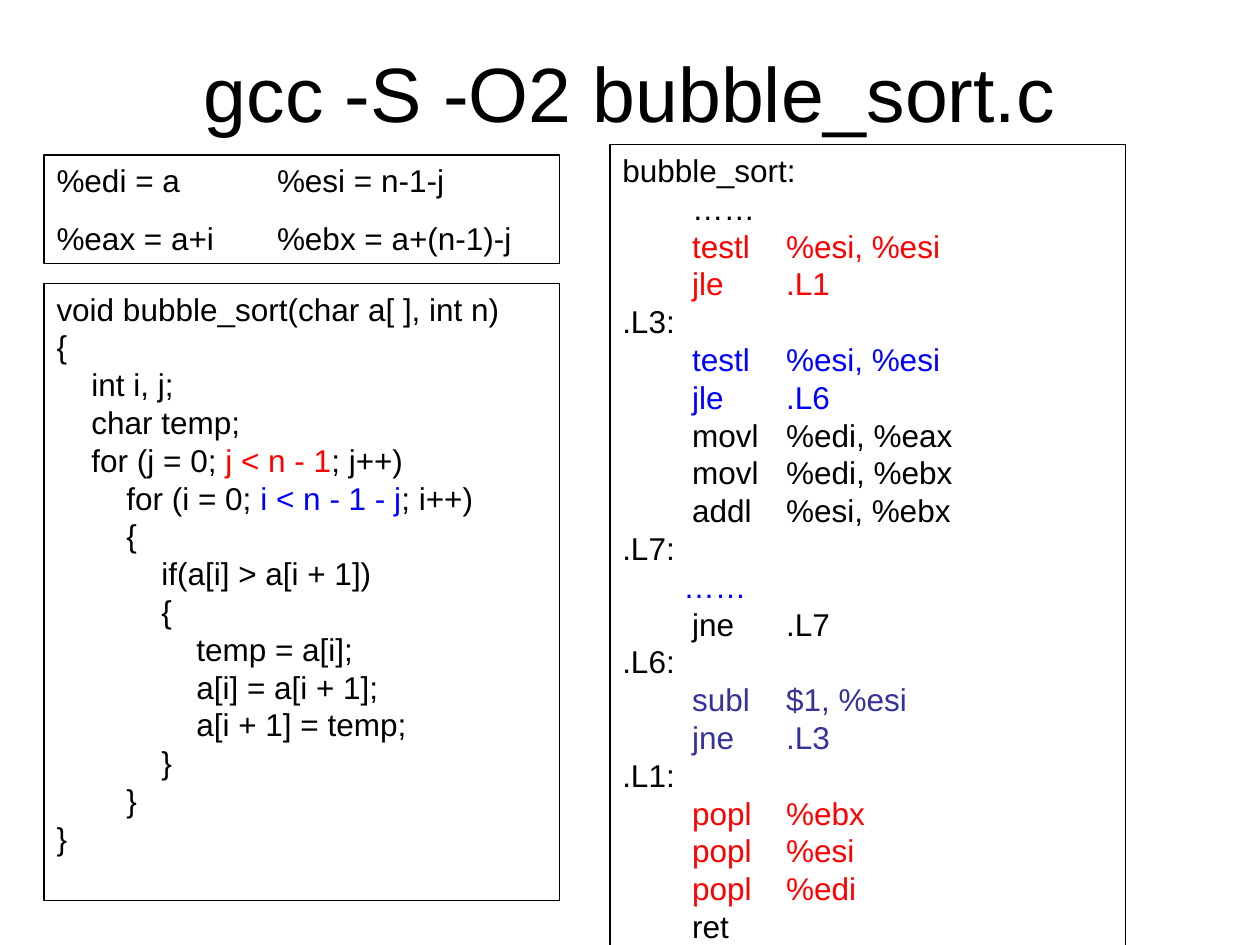
from pptx import Presentation
from pptx.dml.color import RGBColor
from pptx.enum.shapes import MSO_SHAPE
from pptx.enum.text import MSO_ANCHOR, PP_ALIGN
from pptx.oxml.xmlchemy import OxmlElement
from pptx.util import Inches, Pt

BLACK = RGBColor(0x00, 0x00, 0x00)
RED = RGBColor(0xFF, 0x00, 0x00)
BLUE = RGBColor(0x00, 0x00, 0xFF)
INDIGO = RGBColor(0x33, 0x33, 0x99)

RECTANGLE = MSO_SHAPE.RECTANGLE
TOP, MIDDLE = MSO_ANCHOR.TOP, MSO_ANCHOR.MIDDLE
LEFT, CENTER = PP_ALIGN.LEFT, PP_ALIGN.CENTER

# Each line is a list of (text, colour) runs.
REGISTERS = [
    [("%edi = a\t%esi = n-1-j", BLACK)],
    [("%eax = a+i\t%ebx = a+(n-1)-j", BLACK)],
]

C_SOURCE = [
    [("void bubble_sort(char a[ ], int n)", BLACK)],
    [("{", BLACK)],
    [("    int i, j;", BLACK)],
    [("    char temp;", BLACK)],
    [("    for (j = 0; ", BLACK), ("j < n - 1", RED), ("; j++)", BLACK)],
    [("        for (i = 0; ", BLACK), ("i < n - 1 - j", BLUE), ("; i++)", BLACK)],
    [("        {", BLACK)],
    [("            if(a[i] > a[i + 1])", BLACK)],
    [("            {", BLACK)],
    [("                temp = a[i];", BLACK)],
    [("                a[i] = a[i + 1];", BLACK)],
    [("                a[i + 1] = temp;", BLACK)],
    [("            }", BLACK)],
    [("        }", BLACK)],
    [("}", BLACK)],
]

ASSEMBLY = [
    [("bubble_sort:", BLACK)],
    [("        ……", BLACK)],
    [("        testl\t%esi, %esi", RED)],
    [("        jle\t.L1", RED)],
    [(".L3:", BLACK)],
    [("        testl\t%esi, %esi", BLUE)],
    [("        jle\t.L6", BLUE)],
    [("        movl\t%edi, %eax", BLACK)],
    [("        movl\t%edi, %ebx", BLACK)],
    [("        addl\t%esi, %ebx", BLACK)],
    [(".L7:", BLACK)],
    [("       ……", BLUE)],
    [("        jne\t.L7", BLACK)],
    [(".L6:", BLACK)],
    [("        subl\t$1, %esi", INDIGO)],
    [("        jne\t.L3", INDIGO)],
    [(".L1:", BLACK)],
    [("        popl\t%ebx", RED)],
    [("        popl\t%esi", RED)],
    [("        popl\t%edi", RED)],
    [("        ret", BLACK)],
]


def set_formats(target, formats):
    for name, value in formats.items():
        setattr(target, name, value)


def add_tab_stop(paragraph, position):
    tab_list = OxmlElement("a:tabLst")
    tab = OxmlElement("a:tab")
    tab.set("pos", str(position))
    tab.set("algn", "l")
    tab_list.append(tab)
    paragraph._p.get_or_add_pPr().append(tab_list)


class CodeSlide:
    font_name = "Arial"
    code_size = Pt(18)
    code_pitch = Pt(21.6)
    title_size = Pt(44)
    border_width = Pt(0.75)

    def __init__(self, presentation):
        self.slide = presentation.slides.add_slide(presentation.slide_layouts[6])

    def write_run(self, paragraph, text, size, color):
        run = paragraph.add_run()
        run.text = text
        set_formats(run.font, {"name": self.font_name, "size": size})
        run.font.color.rgb = color

    def add_title(self, text, left, top, width, height):
        frame = self.slide.shapes.add_textbox(left, top, width, height).text_frame
        set_formats(frame, {"word_wrap": True, "vertical_anchor": MIDDLE})
        paragraph = frame.paragraphs[0]
        paragraph.alignment = CENTER
        self.write_run(paragraph, text, self.title_size, BLACK)

    def add_code_box(self, lines, left, top, width, height, tab_stop=None, gap=Pt(0)):
        """Draw a bordered box of code; gap is the space between paragraphs."""
        shape = self.slide.shapes.add_shape(RECTANGLE, left, top, width, height)
        shape.shadow.inherit = False
        shape.fill.background()
        shape.line.color.rgb = BLACK
        shape.line.width = self.border_width
        frame = shape.text_frame
        set_formats(frame, {"word_wrap": True, "vertical_anchor": TOP})
        for index, runs in enumerate(lines):
            paragraph = frame.add_paragraph() if index else frame.paragraphs[0]
            set_formats(paragraph, {
                "alignment": LEFT,
                "line_spacing": self.code_pitch,
                "space_before": gap if index else Pt(0),
            })
            if tab_stop is not None:
                add_tab_stop(paragraph, tab_stop)
            for text, color in runs:
                self.write_run(paragraph, text, self.code_size, color)


def main():
    presentation = Presentation()
    set_formats(presentation, {"slide_width": Inches(10), "slide_height": Inches(7.5)})
    code_slide = CodeSlide(presentation)

    left_column, right_column = Inches(0.35), Inches(4.84)
    box_width = Inches(4.09)
    code_slide.add_code_box(ASSEMBLY, right_column, Inches(1.15), box_width,
                            Inches(6.4), tab_stop=Inches(1.3))
    code_slide.add_title("gcc -S -O2 bubble_sort.c", Inches(0.5), Inches(0.3),
                         Inches(9), Inches(0.85))
    code_slide.add_code_box(C_SOURCE, left_column, Inches(2.25), box_width, Inches(4.9))
    code_slide.add_code_box(REGISTERS, left_column, Inches(1.23), box_width,
                            Inches(0.86), tab_stop=Inches(1.75), gap=Pt(11.2))
    presentation.save("out.pptx")


if __name__ == "__main__":
    main()
